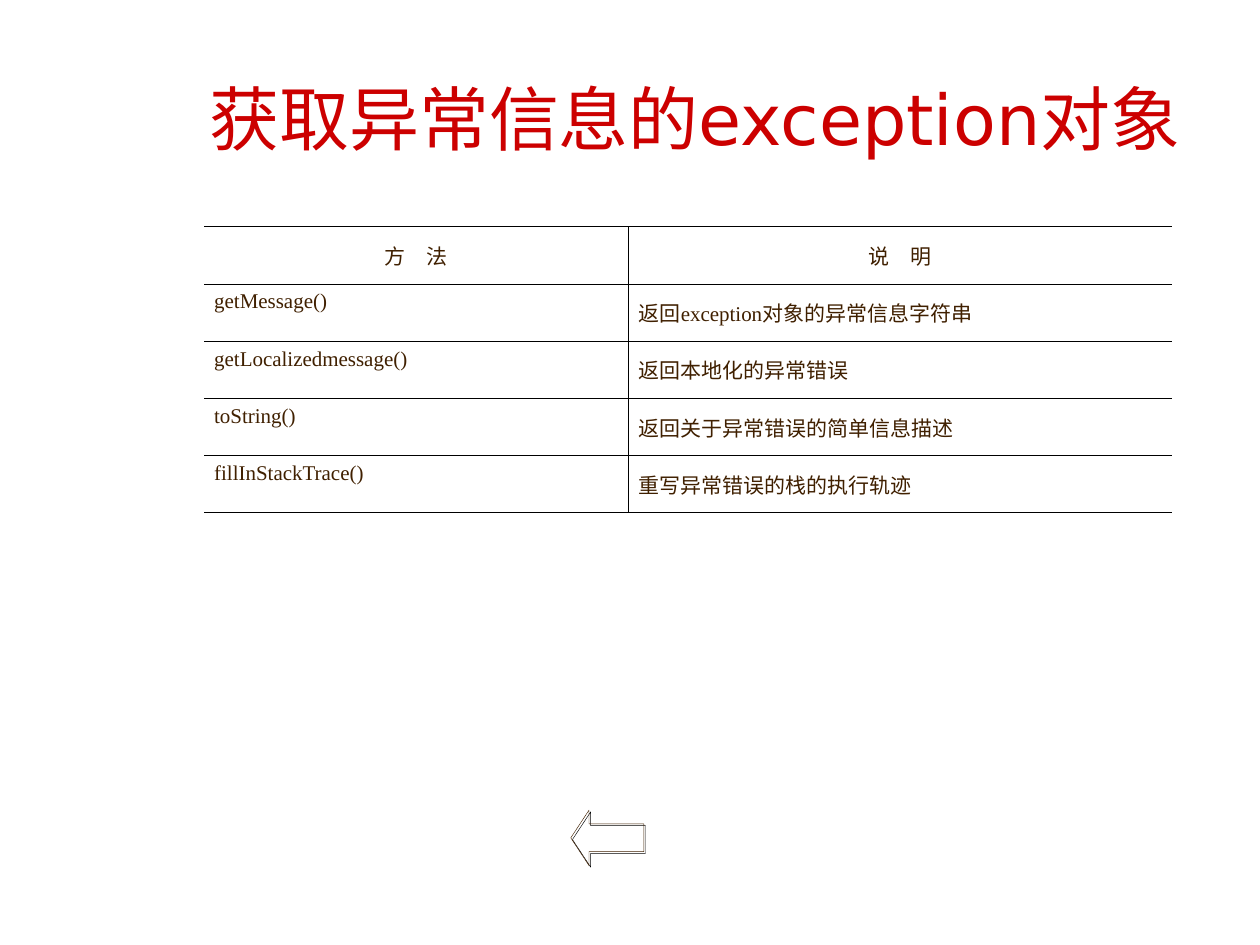
from lxml import etree
from pptx import Presentation
from pptx import util as u
from pptx.dml.color import RGBColor
from pptx.enum import shapes, text
from pptx.oxml.ns import qn

COLORS = {"title": "CC0000", "body": "402000", "rule": "000000"}
TITLE_FONT = "DejaVu Sans"
TABLE_FONT = "Times New Roman"

METHODS = [
    ("方　法", "说　明"),
    ("getMessage()", "返回exception对象的异常信息字符串"),
    ("getLocalizedmessage()", "返回本地化的异常错误"),
    ("toString()", "返回关于异常错误的简单信息描述"),
    ("fillInStackTrace()", "重写异常错误的栈的执行轨迹"),
]


class SlideBuilder:
    def __init__(self, slide):
        self.slide = slide

    def add_run(self, paragraph, words, font, size, color):
        run = paragraph.add_run()
        run.text = words
        run.font.name = font
        run.font.size = u.Pt(size)
        run.font.color.rgb = RGBColor.from_string(COLORS[color])

    def title(self, words, left, top, width, height):
        shape = self.slide.shapes.title
        shape.left, shape.top = u.Inches(left), u.Inches(top)
        shape.width, shape.height = u.Inches(width), u.Inches(height)
        frame = shape.text_frame
        frame.auto_size = text.MSO_AUTO_SIZE.NONE
        frame.vertical_anchor = text.MSO_ANCHOR.MIDDLE
        paragraph = frame.paragraphs[0]
        paragraph.alignment = text.PP_ALIGN.CENTER
        self.add_run(paragraph, words, TITLE_FONT, 40, "title")

    def borders(self, cell, visible_sides):
        properties = cell._tc.get_or_add_tcPr()
        for position, side in enumerate("LRTB"):
            line = etree.Element(qn(f"a:ln{side}"), w=str(u.Pt(0.45)))
            if side in visible_sides:
                fill = etree.SubElement(line, qn("a:solidFill"))
                etree.SubElement(fill, qn("a:srgbClr"), val=COLORS["rule"])
            else:
                etree.SubElement(line, qn("a:noFill"))
            properties.insert(position, line)

    def table(self, rows, column_widths, left, top, height):
        frame = self.slide.shapes.add_table(
            len(rows), len(column_widths), u.Inches(left), u.Inches(top),
            u.Inches(sum(column_widths)), u.Inches(height))
        table = frame.table
        table.first_row = table.horz_banding = False
        for column, width in zip(table.columns, column_widths):
            column.width = u.Inches(width)
        for row_index, row in enumerate(rows):
            for column_index, words in enumerate(row):
                cell = table.cell(row_index, column_index)
                self.table_cell(cell, words, row_index == 0, column_index == 0)

    def table_cell(self, cell, words, is_header, is_first_column):
        cell.fill.background()
        self.borders(cell, "RTB" if is_first_column else "LTB")
        cell.margin_left = cell.margin_right = u.Inches(0.08)
        cell.margin_top = cell.margin_bottom = u.Inches(0.05)
        is_method = is_first_column and not is_header
        cell.vertical_anchor = text.MSO_ANCHOR.TOP if is_method else text.MSO_ANCHOR.MIDDLE
        paragraph = cell.text_frame.paragraphs[0]
        paragraph.alignment = text.PP_ALIGN.CENTER if is_header else text.PP_ALIGN.JUSTIFY
        paragraph.space_before = paragraph.space_after = u.Pt(1.2)
        self.add_run(paragraph, words, TABLE_FONT, 12, "body")

    def back_arrow(self, left, top, width, height):
        shape = self.slide.shapes.add_shape(
            shapes.MSO_SHAPE.LEFT_ARROW, u.Inches(left), u.Inches(top),
            u.Inches(width), u.Inches(height))
        shape.adjustments[0], shape.adjustments[1] = 0.5, 0.33
        shape.fill.background()
        shape.line.color.rgb = RGBColor.from_string(COLORS["body"])
        shape.line.width = u.Pt(0.25)
        shape.shadow.inherit = False
        effects = shape._element.spPr.find(qn("a:effectLst"))
        shadow = etree.SubElement(
            effects, qn("a:outerShdw"), dist=str(u.Pt(1.4)), dir=str(45 * 60000))
        etree.SubElement(shadow, qn("a:srgbClr"), val=COLORS["rule"])


def main():
    presentation = Presentation()
    presentation.slide_width, presentation.slide_height = u.Inches(10), u.Inches(7.5)
    builder = SlideBuilder(presentation.slides.add_slide(presentation.slide_layouts[5]))
    builder.back_arrow(4.53, 6.43, 0.58, 0.44)
    builder.title("获取异常信息的exception对象", 1.38, 0.6, 8.27, 0.67)
    builder.table(METHODS, (3.37, 4.31), 1.62, 1.8, 2.27)
    presentation.save("out.pptx")


if __name__ == "__main__":
    main()
